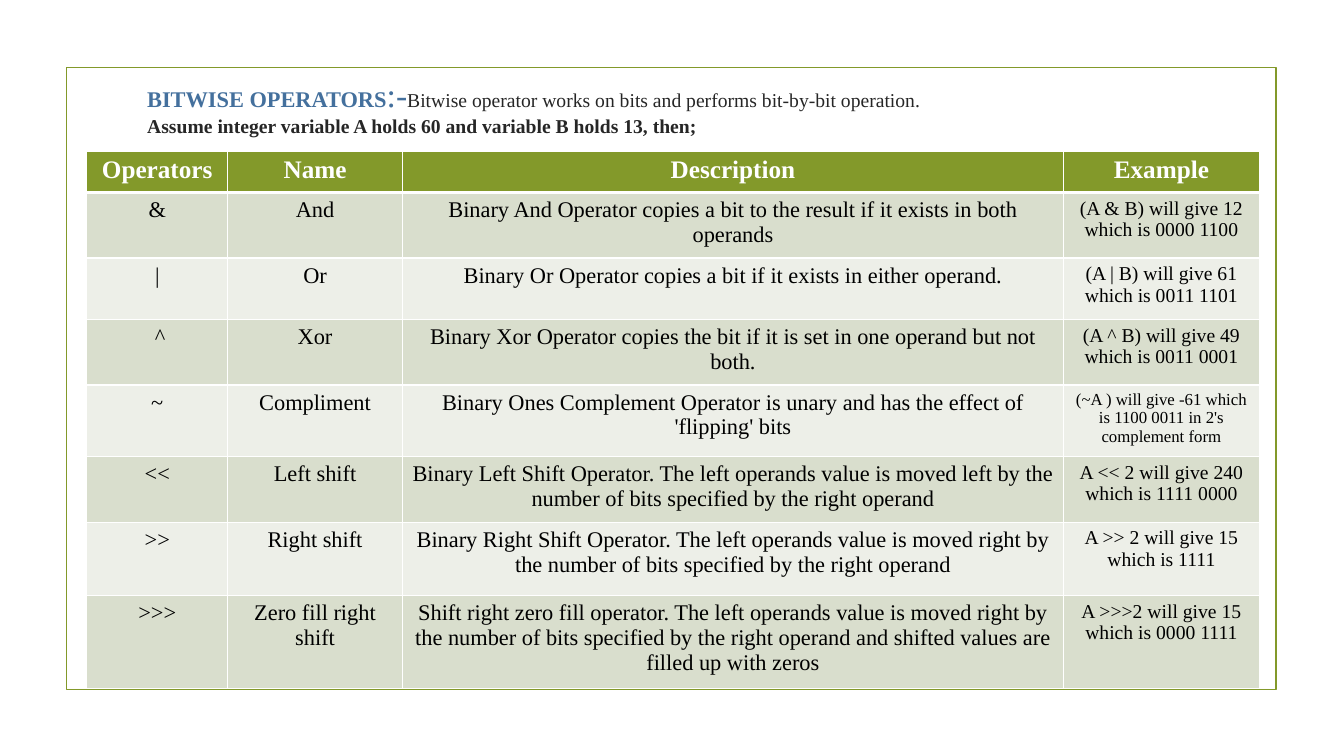
from lxml.etree import SubElement
from pptx import Presentation
from pptx.dml.color import RGBColor
from pptx.enum.shapes import MSO_SHAPE as Shape
from pptx.enum.text import PP_ALIGN as Align
from pptx.oxml.ns import qn
from pptx.util import Inches, Pt

FONT = "Times New Roman"
GREEN, WHITE, BLACK = "83992A", "FFFFFF", "000000"
BLUE, DARK = "44709D", "262626"
BANDS = ["EDEFE8", "D9DECD"]
LEFT, WIDTH = 0.86, 11.62
COLUMNS = [1.4, 1.73, 6.56, 1.94]
ROWS = [0.41, 0.65, 0.61, 0.65, 0.71, 0.65, 0.73, 0.92]


def color(value):
    return RGBColor.from_string(value)


def add_run(paragraph, text, size, hex_color, bold=False):
    run = paragraph.add_run()
    run.text = text
    for name, value in {"name": FONT, "size": Pt(size), "bold": bold}.items():
        setattr(run.font, name, value)
    run.font.color.rgb = color(hex_color)


presentation = Presentation()
presentation.slide_width, presentation.slide_height = Inches(13.33), Inches(7.5)
slide = presentation.slides.add_slide(presentation.slide_layouts[6])

# Frame
frame = slide.shapes.add_shape(
    Shape.RECTANGLE, Inches(0.66), Inches(0.67), Inches(12), Inches(6.17))
frame.shadow.inherit = False
frame.fill.background()
frame.line.color.rgb = color(GREEN)
frame.line.width = Pt(1.25)

# Introduction
intro = slide.shapes.add_textbox(
    Inches(LEFT), Inches(0.68), Inches(WIDTH), Inches(6.14)).text_frame
for name, value in {"word_wrap": True, "margin_left": Inches(0.6)}.items():
    setattr(intro, name, value)
paragraph = intro.paragraphs[0]
paragraph.space_before, paragraph.space_after = Pt(3), Pt(6)
add_run(paragraph, "BITWISE OPERATORS", 16, BLUE, True)
add_run(paragraph, ":-", 24, BLUE)
add_run(paragraph, "Bitwise operator works on bits and performs bit-by-bit operation.",
        14, DARK)
paragraph.add_line_break()
add_run(paragraph, "Assume integer variable A holds 60 and variable B holds 13, then;",
        14, DARK, True)

# Operator table
operators = [
    ("Operators", "Name", "Description", "Example"),
    ("&", "And",
     "Binary And Operator copies a bit to the result if it exists in both operands",
     "(A & B) will give 12 which is 0000 1100"),
    ("|", "Or",
     "Binary Or Operator copies a bit if it exists in either operand.",
     "(A | B) will give 61 which is 0011 1101"),
    (" ^", "Xor",
     "Binary Xor Operator copies the bit if it is set in one operand but not both.",
     "(A ^ B) will give 49 which is 0011 0001"),
    ("~", "Compliment",
     "Binary Ones Complement Operator is unary and has the effect of 'flipping' bits",
     "(~A ) will give -61 which is 1100 0011 in 2's complement form"),
    ("<<", "Left shift",
     "Binary Left Shift Operator. The left operands value is moved left by the "
     "number of bits specified by the right operand",
     "A << 2 will give 240 which is 1111 0000"),
    (">>", "Right shift",
     "Binary Right Shift Operator. The left operands value is moved right by the "
     "number of bits specified by the right operand",
     "A >> 2 will give 15 which is 1111"),
    (">>>", "Zero fill right shift",
     "Shift right zero fill operator. The left operands value is moved right by the "
     "number of bits specified by the right operand and shifted values are filled "
     "up with zeros",
     "A >>>2 will give 15 which is 0000 1111"),
]
table = slide.shapes.add_table(
    len(ROWS), len(COLUMNS), Inches(LEFT), Inches(1.5),
    Inches(WIDTH), Inches(sum(ROWS))).table
for column, width in zip(table.columns, COLUMNS):
    column.width = Inches(width)
for row, height in zip(table.rows, ROWS):
    row.height = Inches(height)

for r, texts in enumerate(operators):
    for c, text in enumerate(texts):
        cell = table.cell(r, c)
        paragraph = cell.text_frame.paragraphs[0]
        paragraph.alignment = Align.CENTER
        if r == 0:
            add_run(paragraph, text, 18, WHITE, True)
        else:
            # The longest example is set smaller to fit its row
            size = 16 if c < 3 else 12 if len(text) > 50 else 14
            add_run(paragraph, text, size, BLACK)

        # White borders, thicker under the header; they precede the fill
        properties = cell._tc.get_or_add_tcPr()
        for side in ("lnL", "lnR", "lnT", "lnB"):
            thick = (r, side) in [(0, "lnB"), (1, "lnT")]
            border = SubElement(properties, qn(f"a:{side}"), w=str(Pt(3 if thick else 1)))
            fill = SubElement(border, qn("a:solidFill"))
            SubElement(fill, qn("a:srgbClr"), val=WHITE)
        cell.fill.solid()
        cell.fill.fore_color.rgb = color(BANDS[r % 2] if r else GREEN)

presentation.save("out.pptx")
